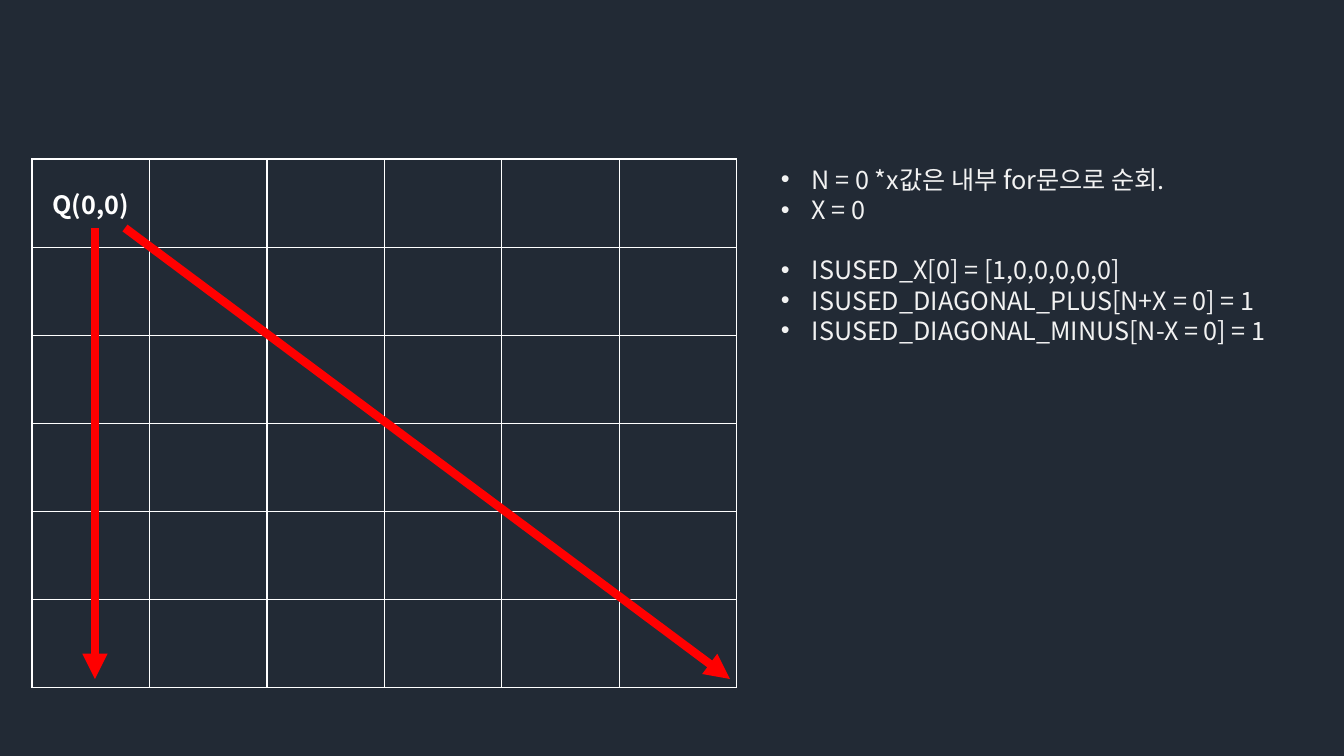
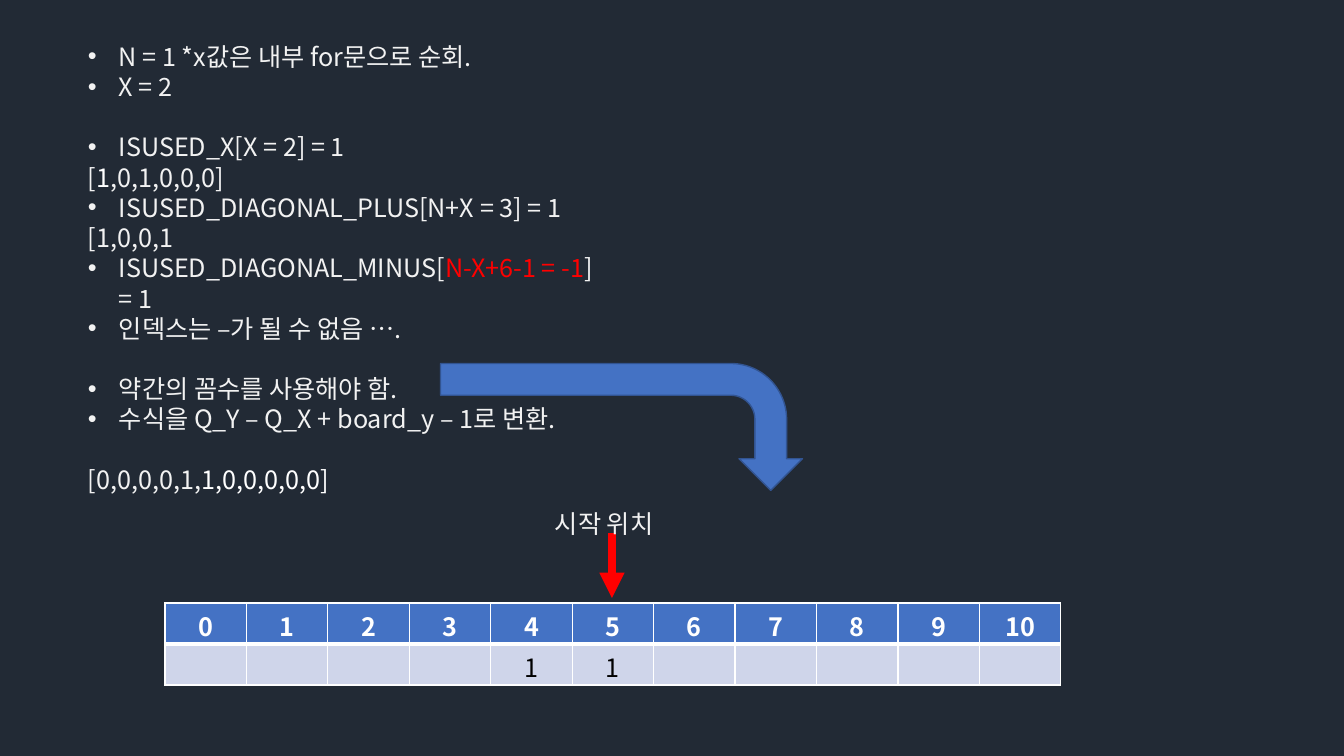
from dataclasses import dataclass

from lxml.etree import SubElement
from pptx import Presentation
from pptx.dml.color import RGBColor
from pptx.enum.shapes import MSO_CONNECTOR, MSO_SHAPE
from pptx.enum.text import MSO_ANCHOR, PP_ALIGN
from pptx.oxml.ns import qn
from pptx.util import Emu, Pt

SCALE = 914400 / 100.8
FONT = "Noto Sans CJK KR"
SIZE = 18
PITCH = 21.6
COLORS = {
    "back": "222A35", "text": "F2F2F2", "white": "FFFFFF", "black": "000000",
    "red": "FF0000", "blue": "4472C4", "edge": "325491", "pale": "CFD5EA",
}


@dataclass
class Box:
    left: int
    top: int
    width: int
    height: int


@dataclass
class Line:
    """A line of notes; text between bars takes the tint."""
    text: str
    tint: str = "text"
    mark: bool = True
    gap: bool = False


@dataclass
class Arrow:
    x1: int
    y1: int
    x2: int
    y2: int


def px(count: int) -> Emu:
    return Emu(round(count * SCALE))


def place(box: Box) -> tuple:
    return px(box.left), px(box.top), px(box.width), px(box.height)


def color(name: str) -> RGBColor:
    return RGBColor.from_string(COLORS[name])


def style(run, tint: str, bold: bool = False) -> None:
    font = run.font
    font.name, font.size, font.bold = FONT, Pt(SIZE), bold
    font.color.rgb = color(tint)
    SubElement(run._r.get_or_add_rPr(), qn("a:ea"), typeface=FONT)


def write(slide, box: Box, lines: list[Line]) -> None:
    frame = slide.shapes.add_textbox(*place(box)).text_frame
    frame.word_wrap = True
    for i, line in enumerate(lines):
        para = frame.add_paragraph() if i else frame.paragraphs[0]
        para.line_spacing = Pt(PITCH)
        para.space_before = Pt(PITCH if line.gap else 0)
        for j, part in enumerate(line.text.split("|")):
            run = para.add_run()
            run.text = part
            style(run, line.tint if j % 2 else "text")
        if line.mark:
            props = para._p.get_or_add_pPr()
            props.set("marL", str(px(31)))
            props.set("indent", str(-px(31)))
            SubElement(props, qn("a:buFont"), typeface="Arial")
            SubElement(props, qn("a:buChar"), char="•")


def draw(slide, arrow: Arrow) -> None:
    ends = (px(n) for n in (arrow.x1, arrow.y1, arrow.x2, arrow.y2))
    link = slide.shapes.add_connector(MSO_CONNECTOR.STRAIGHT, *ends)
    link.line.color.rgb = color("red")
    link.line.width = Pt(6)
    SubElement(link.line._get_or_add_ln(), qn("a:tailEnd"), type="triangle")
    SubElement(link._element.spPr, qn("a:effectLst"))


def border(cell, top: int = 1, bottom: int = 1) -> None:
    props = cell._tc.get_or_add_tcPr()
    sides = {"lnL": 1, "lnR": 1, "lnT": top, "lnB": bottom}
    for i, (side, width) in enumerate(sides.items()):
        edge = props.makeelement(qn(f"a:{side}"), {"w": str(Pt(width))})
        fill = SubElement(edge, qn("a:solidFill"))
        SubElement(fill, qn("a:srgbClr"), val=COLORS["white"])
        props.insert(i, edge)


def grid(slide, box: Box, rows: int, cols: int):
    table = slide.shapes.add_table(rows, cols, *place(box)).table
    table.first_row = table.horz_banding = False
    for col in table.columns:
        col.width = round(px(box.width) / cols)
    for row in table.rows:
        row.height = round(px(box.height) / rows)
    return table


def fill(cell, text: str, tint: str, bold: bool) -> None:
    para = cell.text_frame.paragraphs[0]
    para.text = text
    para.alignment = PP_ALIGN.CENTER
    for run in para.runs:
        style(run, tint, bold)


def board(slide) -> None:
    table = grid(slide, Box(32, 159, 705, 529), 6, 6)
    for cell in table.iter_cells():
        cell.fill.background()
        border(cell)
    queen = table.cell(0, 0)
    queen.vertical_anchor = MSO_ANCHOR.MIDDLE
    fill(queen, "Q(0,0)", "white", True)


def index(slide) -> None:
    table = grid(slide, Box(165, 603, 896, 82), 2, 11)
    for col in range(11):
        head, body = table.cell(0, col), table.cell(1, col)
        for cell, back in ((head, "blue"), (body, "pale")):
            cell.fill.solid()
            cell.fill.fore_color.rgb = color(back)
            cell.margin_top = cell.margin_bottom = 0
            cell.vertical_anchor = MSO_ANCHOR.BOTTOM
        border(head, bottom=3)
        border(body, top=3)
        fill(head, str(col), "white", True)
        if col in (4, 5):
            fill(body, "1", "black", False)


def bend(slide, box: Box) -> None:
    shape = slide.shapes.add_shape(MSO_SHAPE.BENT_ARROW, *place(box))
    shape.rotation = 90
    for i, value in enumerate((0.25, 0.25, 0.25, 0.44)):
        shape.adjustments[i] = value
    shape.shadow.inherit = False
    shape.fill.solid()
    shape.fill.fore_color.rgb = color("blue")
    shape.line.color.rgb = color("edge")
    shape.line.width = Pt(1)


FIRST = [
    Line("N = 0 *x값은 내부 for문으로 순회."),
    Line("X = 0"),
    Line("ISUSED_X[0] = [1,0,0,0,0,0]", gap=True),
    Line("ISUSED_DIAGONAL_PLUS[N+X = 0] = 1"),
    Line("ISUSED_DIAGONAL_MINUS[N-X = 0] = 1"),
]
SECOND = [
    Line("N = 1 *x값은 내부 for문으로 순회."),
    Line("X = 2"),
    Line("ISUSED_X[X = 2] = 1", gap=True),
    Line("[|1|,0,1,0,0,0]", "white", mark=False),
    Line("ISUSED_DIAGONAL_PLUS[N+X = 3] = 1"),
    Line("[1,0,0,1", mark=False),
    Line("ISUSED_DIAGONAL_MINUS[|N-X+6-1 = -1|] = 1", "red"),
    Line("인덱스는 –가 될 수 없음 …."),
    Line("약간의 꼼수를 사용해야 함.", gap=True),
    Line("수식을 Q_Y – Q_X + board_y – 1로 변환."),
    Line("[0,0,0,0,1,|1,0,0,0,0,0]", "white", mark=False, gap=True),
]


def main() -> None:
    deck = Presentation()
    deck.slide_width, deck.slide_height = px(1344), px(756)
    back = deck.slide_master.background.fill
    back.solid()
    back.fore_color.rgb = color("back")
    blank = deck.slide_layouts[6]

    # First queen on the board
    slide = deck.slides.add_slide(blank)
    board(slide)
    write(slide, Box(771, 159, 526, 194), FIRST)
    for arrow in (Arrow(95, 228, 95, 679), Arrow(125, 228, 730, 679)):
        draw(slide, arrow)

    # Shifted diagonal index
    slide = deck.slides.add_slide(blank)
    write(slide, Box(78, 36, 536, 499), SECOND)
    index(slide)
    draw(slide, Arrow(612, 533, 612, 598))
    write(slide, Box(545, 503, 168, 40), [Line("시작 위치", mark=False)])
    bend(slide, Box(558, 246, 127, 362))

    deck.save("out.pptx")


if __name__ == "__main__":
    main()
